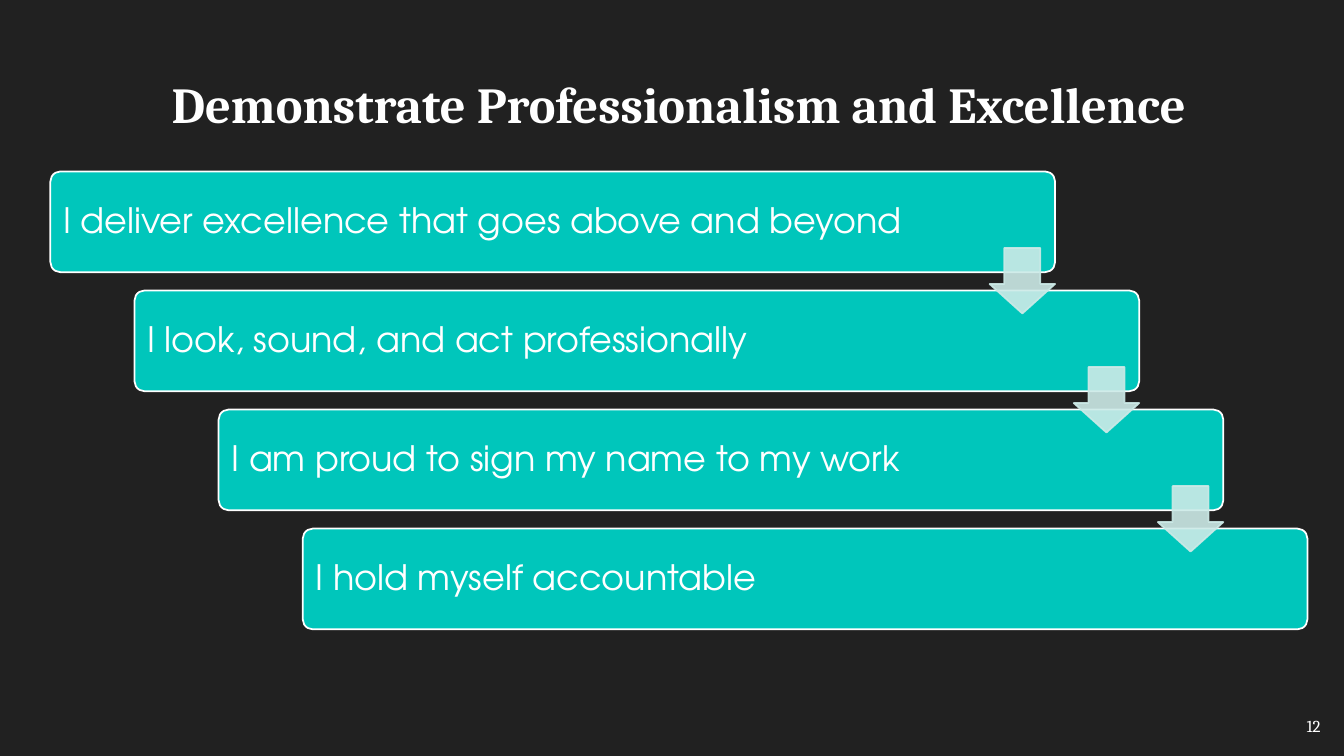
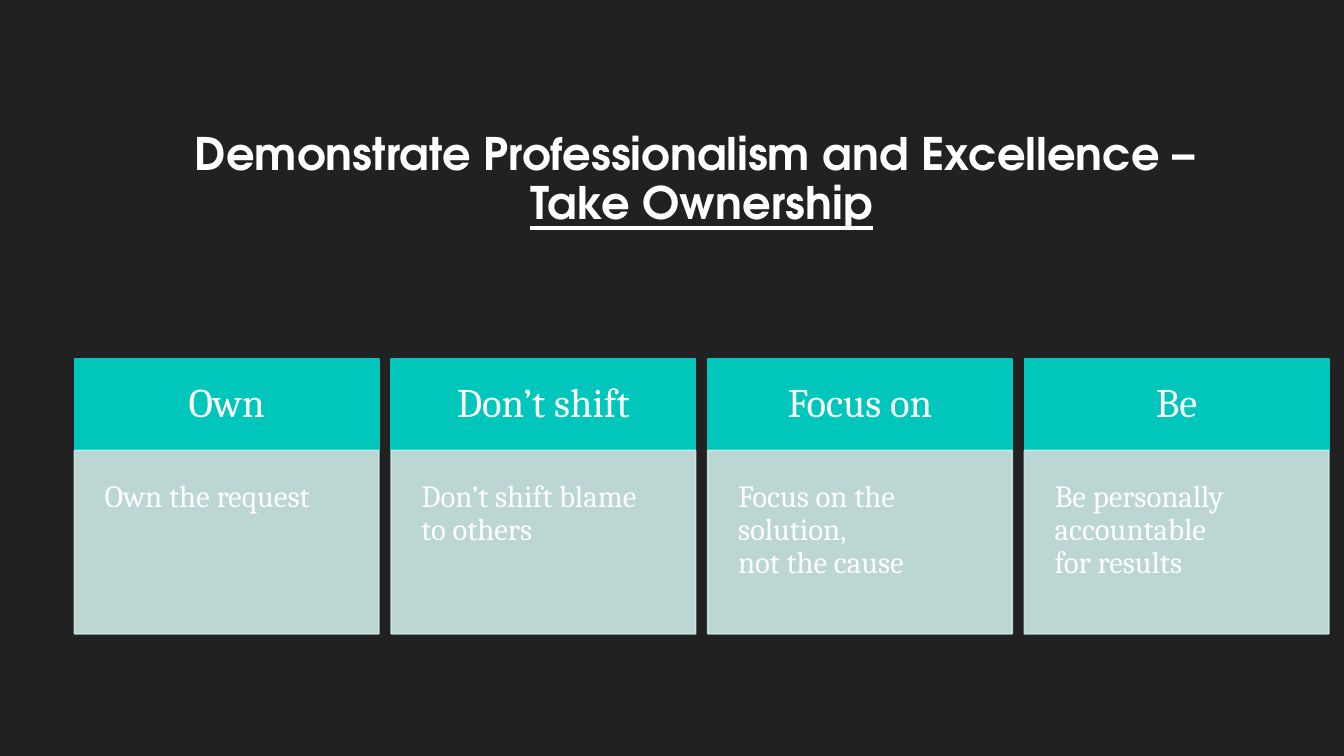
from lxml import etree
from pptx import Presentation
from pptx.dml.color import RGBColor
from pptx.enum.shapes import MSO_SHAPE as Shape
from pptx.enum.text import MSO_ANCHOR as Anchor, PP_ALIGN as Align
from pptx.oxml.ns import qn
from pptx.util import Cm, Pt

BACKGROUND = RGBColor(0x21, 0x21, 0x21)
TEAL = RGBColor(0x00, 0xC6, 0xBB)
PALE = RGBColor(0xCC, 0xEA, 0xE7)
WHITE = RGBColor(0xFF, 0xFF, 0xFF)
SERIF = "Cambria"
SANS = "TeX Gyre Adventor"


class Deck:
    """Holds the shared style and the current slide."""

    def __init__(self):
        self.presentation = Presentation()
        self.presentation.slide_width = Cm(33.87)
        self.presentation.slide_height = Cm(19.05)
        self.slide = None

    def new_slide(self):
        self.slide = self.presentation.slides.add_slide(self.presentation.slide_layouts[6])
        fill = self.slide.background.fill
        fill.solid()
        fill.fore_color.rgb = BACKGROUND

    def set_text(self, shape, lines, font, size, align=Align.LEFT, anchor=Anchor.MIDDLE,
                 spacing=0.9, inset=None, title=False, underlined=()):
        """Fill one paragraph, with a line break between the lines."""
        frame = shape.text_frame
        frame.word_wrap = True
        frame.vertical_anchor = anchor
        if inset is not None:
            frame.margin_left = frame.margin_right = Cm(inset)
            frame.margin_top = frame.margin_bottom = Cm(inset)
        paragraph = frame.paragraphs[0]
        paragraph.alignment = align
        paragraph.line_spacing = spacing
        for index, line in enumerate(lines):
            if index:
                paragraph.add_line_break()
            run = paragraph.add_run()
            run.text = line
            run.font.size = Pt(size)
            run.font.color.rgb = WHITE
            if title:
                run.font.bold = True
                self.add_text_shadow(run)
            if index in underlined:
                run.font.underline = True
            run.font.name = font

    def add_text_shadow(self, run):
        properties = run._r.get_or_add_rPr()
        effects = etree.SubElement(properties, qn("a:effectLst"))
        shadow = etree.SubElement(effects, qn("a:outerShdw"), blurRad="38100",
                                  dist="38100", dir="2700000", algn="tl")
        color = etree.SubElement(shadow, qn("a:srgbClr"), val="000000")
        etree.SubElement(color, qn("a:alpha"), val="43000")

    def text_box(self, left, top, width, height):
        return self.slide.shapes.add_textbox(Cm(left), Cm(top), Cm(width), Cm(height))

    def title(self, left, top, lines, font, size, spacing=1.0, underlined=()):
        self.set_text(self.text_box(left, top, 31.67, 2.69), lines, font, size, Align.CENTER,
                      Anchor.BOTTOM, spacing, title=True, underlined=underlined)

    def page_number(self, number):
        self.set_text(self.text_box(27.61, 17.91, 5.92, 0.76), [str(number)], SERIF, 12,
                      Align.RIGHT, spacing=1.0)

    def block(self, kind, left, top, width, height, color, line_color, opacity=100):
        shape = self.slide.shapes.add_shape(kind, Cm(left), Cm(top), Cm(width), Cm(height))
        shape.shadow.inherit = False
        shape.fill.solid()
        shape.fill.fore_color.rgb = color
        shape.line.color.rgb = line_color
        shape.line.width = Pt(1.25)
        if opacity < 100:
            for element in shape._element.spPr.iter(qn("a:srgbClr")):
                etree.SubElement(element, qn("a:alpha"), val=str(opacity * 1000))
        return shape

    def step(self, left, top, width, height, text):
        shape = self.block(Shape.ROUNDED_RECTANGLE, left, top, width, height, TEAL, WHITE)
        shape.adjustments[0] = 0.1
        self.set_text(shape, [text], SANS, 25, inset=0.25)

    def down_arrow(self, left, top, size):
        shape = self.block(Shape.DOWN_ARROW, left, top, size, size, PALE, PALE, 90)
        shape.adjustments[0] = 0.55
        shape.adjustments[1] = 0.45

    def column(self, left, top, width, heading, lines):
        header_height = 2.31
        header = self.block(Shape.RECTANGLE, left, top, width, header_height, TEAL, TEAL)
        self.set_text(header, [heading], SERIF, 29, Align.CENTER, inset=0.61)
        body = self.block(Shape.RECTANGLE, left, top + header_height, width, 4.62,
                          PALE, PALE, 90)
        self.set_text(body, lines, SERIF, 22, anchor=Anchor.TOP, inset=0.76)


def build_steps(deck):
    deck.new_slide()
    deck.title(1.27, 0.79, ["Demonstrate Professionalism and Excellence"], SERIF, 36)
    deck.page_number(12)

    # Staircase of steps, then the arrows that overlap them
    steps = [
        "I deliver excellence that goes above and beyond",
        "I look, sound, and act professionally",
        "I am proud to sign my name to my work",
        "I hold myself accountable",
    ]
    width, height, arrow_size = 25.32, 2.54, 1.65
    corners = [(1.27 + 2.12 * index, 4.32 + 3 * index) for index in range(len(steps))]
    for (left, top), text in zip(corners, steps):
        deck.step(left, top, width, height, text)
    for left, top in corners[:-1]:
        deck.down_arrow(left + width - arrow_size, top + 1.93, arrow_size)


def build_ownership(deck):
    deck.new_slide()
    deck.title(1.85, 3.2, ["Demonstrate Professionalism and Excellence – ", "Take Ownership"],
               SANS, 32, spacing=0.9, underlined=(1,))

    # Four equal columns
    columns = [
        ("Own", ["Own the request"]),
        ("Don’t shift", ["Don’t shift blame to others"]),
        ("Focus on", ["Focus on the solution, ", "not the cause"]),
        ("Be", ["Be personally accountable ", "for results"]),
    ]
    width, gap = 7.67, 0.31
    for index, (heading, lines) in enumerate(columns):
        deck.column(1.88 + index * (width + gap), 9.04, width, heading, lines)


def main():
    deck = Deck()
    build_steps(deck)
    build_ownership(deck)
    deck.presentation.save("out.pptx")


if __name__ == "__main__":
    main()
